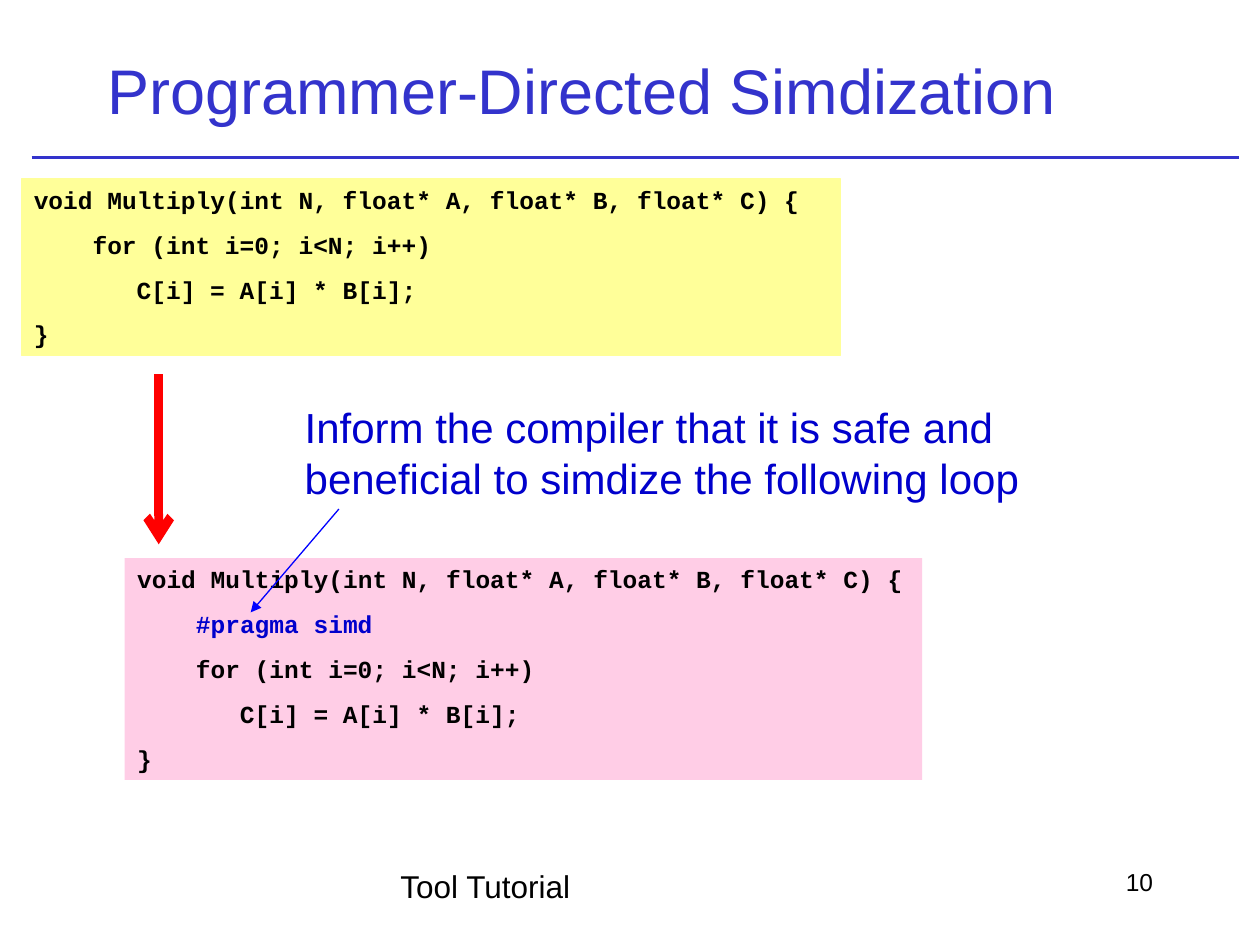
from dataclasses import dataclass
from typing import Any

from lxml.etree import SubElement as Sub
from pptx import Presentation as Deck
from pptx.dml.color import RGBColor as Rgb
from pptx.enum.shapes import MSO_CONNECTOR as Link, MSO_SHAPE as Form
from pptx.enum.text import MSO_ANCHOR as Anchor, MSO_AUTO_SIZE as Auto, PP_ALIGN as Align
from pptx.oxml.ns import qn
from pptx.util import Inches, Pt


@dataclass(frozen=True)
class Theme:
    sans: str = "Arial"
    mono: str = "Courier New"
    head: str = "3333CC"
    note: str = "0000CC"
    ink: str = "000000"
    red: str = "FF0000"
    blue: str = "0000FF"
    yellow: str = "FFFF99"
    pink: str = "FF99CC"
    big: int = 36
    mid: int = 24
    foot: int = 18
    small: int = 14
    char: float = 8.4


THEME = Theme()


@dataclass
class Row:
    text: str
    color: str = THEME.ink
    indent: int = 0


@dataclass
class Label:
    box: tuple[float, float, float, float]
    rows: list[Row]
    size: int
    font: str = THEME.sans
    bold: bool = False
    gap: float = 0
    align: Any = Align.LEFT
    fill: str | None = None
    edge: str | None = None
    alpha: int = 100


@dataclass
class Rule:
    start: tuple[float, float]
    end: tuple[float, float]
    color: str
    width: float
    tip: str | None = None


def put(item: Any, values: dict[str, Any]) -> None:
    for name, value in values.items():
        setattr(item, name, value)


def place(shape: Any, box: tuple[float, float, float, float]) -> None:
    put(shape, dict(zip(("left", "top", "width", "height"), map(Inches, box))))


def write(frame: Any, label: Label, anchor: Any = Anchor.TOP) -> None:
    put(frame, {"word_wrap": True, "auto_size": Auto.NONE, "vertical_anchor": anchor})
    for index, row in enumerate(label.rows):
        para = frame.add_paragraph() if index else frame.paragraphs[0]
        put(para, {"alignment": label.align, "space_before": Pt(label.gap)})
        if row.indent:
            para._p.get_or_add_pPr().set("marL", str(Pt(row.indent * THEME.char)))
        run = para.add_run()
        run.text = row.text
        put(run.font, {"name": label.font, "size": Pt(label.size), "bold": label.bold})
        run.font.color.rgb = Rgb.from_string(row.color)


def draw_label(slide: Any, label: Label) -> None:
    spot = map(Inches, label.box)
    if label.fill is None:
        shape = slide.shapes.add_textbox(*spot)
    else:
        shape = slide.shapes.add_shape(Form.RECTANGLE, *spot)
        shape.shadow.inherit = False
        shape.fill.solid()
        shape.fill.fore_color.rgb = Rgb.from_string(label.fill)
        if label.alpha < 100:
            tint = shape._element.spPr.find(".//" + qn("a:srgbClr"))
            Sub(tint, qn("a:alpha")).set("val", str(label.alpha * 1000))
        if label.edge:
            shape.line.color.rgb = Rgb.from_string(label.edge)
            shape.line.width = Pt(0.74)
        else:
            shape.line.fill.background()
    write(shape.text_frame, label)


def draw_rule(slide: Any, rule: Rule) -> None:
    line = slide.shapes.add_connector(Link.STRAIGHT, *map(Inches, rule.start + rule.end))
    line.line.color.rgb = Rgb.from_string(rule.color)
    line.line.width = Pt(rule.width)
    if rule.tip:
        Sub(line.line._get_or_add_ln(), qn("a:tailEnd")).set("type", rule.tip)
    Sub(line._element.spPr, qn("a:effectLst"))


OPEN = Row("void Multiply(int N, float* A, float* B, float* C) {")
PRAGMA = Row("#pragma simd", THEME.note, 4)
LOOP = [Row("for (int i=0; i<N; i++)", indent=4), Row("C[i] = A[i] * B[i];", indent=7), Row("}")]
CODE = {"size": THEME.small, "font": THEME.mono, "bold": True, "gap": 8.8}
NOTE = "Inform the compiler that it is safe and beneficial to simdize the following loop"

TITLE = Label((0.75, 0.25, 8.5, 0.92), [Row("Programmer-Directed Simdization", THEME.head)], THEME.big)
PARTS = [
    Rule((0.25, 1.25), (9.83, 1.25), THEME.head, 2),
    Label((0.17, 1.42, 6.5, 1.4), [OPEN, *LOOP], fill=THEME.yellow, edge=THEME.yellow, **CODE),
    Label((0.99, 4.43, 6.33, 1.76), [OPEN, PRAGMA, *LOOP], fill=THEME.pink, alpha=49, **CODE),
    Rule((1.26, 2.97), (1.26, 4.32), THEME.red, 5, "arrow"),
    Rule((2.69, 4.04), (1.99, 4.86), THEME.blue, 0.74, "triangle"),
    Label((2.32, 3.14, 7, 0.9), [Row(NOTE, THEME.note)], THEME.mid, gap=15),
    Label((3.08, 6.83, 3.83, 0.5), [Row("Tool Tutorial")], THEME.foot),
    Label((7.17, 6.83, 2.08, 0.5), [Row("10")], THEME.small, align=Align.RIGHT),
]


def main() -> None:
    deck = Deck()
    put(deck, {"slide_width": Inches(10), "slide_height": Inches(7.5)})
    slide = deck.slides.add_slide(deck.slide_layouts[5])
    title = slide.shapes.title
    place(title, TITLE.box)
    write(title.text_frame, TITLE, Anchor.MIDDLE)
    for part in PARTS:
        if isinstance(part, Rule):
            draw_rule(slide, part)
        else:
            draw_label(slide, part)
    deck.save("out.pptx")


main()
